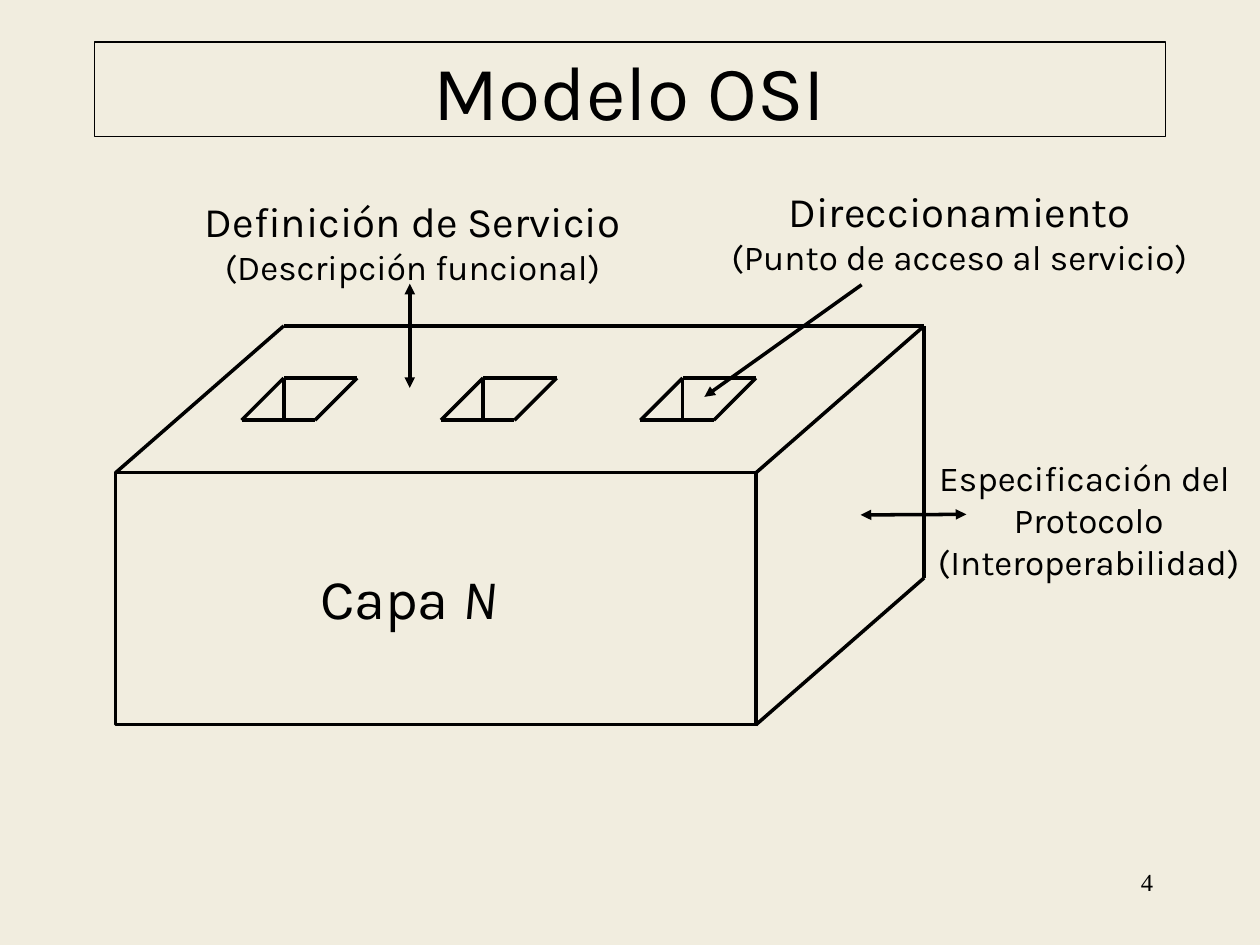
from dataclasses import dataclass

from lxml import etree
from pptx import Presentation
from pptx.dml.color import RGBColor
from pptx.enum.shapes import MSO_CONNECTOR, MSO_SHAPE
from pptx.enum.text import MSO_ANCHOR, MSO_AUTO_SIZE, PP_ALIGN
from pptx.oxml.ns import qn
from pptx.util import Cm, Pt

STRAIGHT = MSO_CONNECTOR.STRAIGHT
RECTANGLE = MSO_SHAPE.RECTANGLE
TOP, MIDDLE = MSO_ANCHOR.TOP, MSO_ANCHOR.MIDDLE
FIT_SHAPE, FIT_NONE = MSO_AUTO_SIZE.SHAPE_TO_FIT_TEXT, MSO_AUTO_SIZE.NONE
CENTER, RIGHT = PP_ALIGN.CENTER, PP_ALIGN.RIGHT


@dataclass(frozen=True)
class Theme:
    background: RGBColor = RGBColor(0xF1, 0xED, 0xDF)
    ink: RGBColor = RGBColor(0, 0, 0)
    font: str = "Karla"
    number_font: str = "Times New Roman"
    title: int = 44
    layer: int = 32
    heading: int = 24
    detail: int = 20
    number: int = 14
    frame: float = 0.75
    stroke: float = 2


THEME = Theme()


@dataclass(frozen=True)
class Span:
    text: str
    size: int
    italic: bool = False
    font: str = THEME.font


@dataclass(frozen=True)
class Label:
    """Text box; all lengths in centimetres."""
    left: float
    top: float
    width: float
    height: float
    paras: tuple[tuple[Span, ...], ...]
    align: PP_ALIGN = CENTER
    wrap: bool = False


@dataclass(frozen=True)
class Arrow:
    start: tuple[float, float]
    end: tuple[float, float]
    ends: tuple[str, ...] = ("headEnd", "tailEnd")


@dataclass(frozen=True)
class Block:
    """Front face plus the offset of its back edge."""
    left: float = 2.33
    top: float = 9.53
    width: float = 12.91
    height: float = 5.08
    depth_x: float = 3.39
    depth_y: float = 2.96


@dataclass(frozen=True)
class Sockets:
    left: float = 5.72
    top: float = 7.62
    width: float = 1.48
    skew: float = 0.85
    step: float = 4.02
    count: int = 3


LABELS = (
    Label(18.21, 17.35, 5.29, 1.27,
          ((Span("4", THEME.number, font=THEME.number_font),),), RIGHT, True),
    Label(3.81, 3.81, 9.02, 2.13,
          ((Span("Definición de Servicio", THEME.heading),),
           (Span("(Descripción funcional)", THEME.detail),))),
    Label(14.43, 3.61, 9.83, 2.13,
          ((Span("Direccionamiento", THEME.heading),),
           (Span("(Punto de acceso al servicio)", THEME.detail),))),
    Label(6.07, 11.23, 4.57, 1.63,
          ((Span("Capa ", THEME.layer), Span("N ", THEME.layer, italic=True)),)),
    Label(18.57, 9.07, 6.76, 2.79,
          tuple((Span(text, THEME.detail),) for text in
                ("Especificación del ", "Protocolo", "(Interoperabilidad)"))),
)

ARROWS = (
    Arrow((8.26, 5.72), (8.26, 7.82)),
    Arrow((17.37, 5.74), (14.2, 8), ("tailEnd",)),
    Arrow((19.48, 10.37), (17.35, 10.38)),
)


def set_values(target, values: dict) -> None:
    for name, value in values.items():
        setattr(target, name, value)


def write_paras(frame, paras: tuple, align: PP_ALIGN) -> None:
    for index, spans in enumerate(paras):
        para = frame.add_paragraph() if index else frame.paragraphs[0]
        para.alignment = align
        for span in spans:
            run = para.add_run()
            run.text = span.text
            set_values(run.font, {"name": span.font, "size": Pt(span.size),
                                  "italic": span.italic})
            run.font.color.rgb = THEME.ink


def add_label(shapes, label: Label) -> None:
    box = shapes.add_textbox(Cm(label.left), Cm(label.top),
                             Cm(label.width), Cm(label.height))
    set_values(box.text_frame, {"word_wrap": label.wrap, "vertical_anchor": TOP,
                                "auto_size": FIT_NONE if label.wrap else FIT_SHAPE})
    write_paras(box.text_frame, label.paras, label.align)


def add_frame(shapes, left: float, top: float, width: float, height: float,
              weight: float):
    box = shapes.add_shape(RECTANGLE, Cm(left), Cm(top), Cm(width), Cm(height))
    box.shadow.inherit = False
    box.fill.background()
    box.line.color.rgb = THEME.ink
    box.line.width = Pt(weight)
    return box


def add_line(shapes, start: tuple[float, float], end: tuple[float, float],
             ends: tuple[str, ...] = ()) -> None:
    line = shapes.add_connector(STRAIGHT, *map(Cm, start + end))
    line.line.color.rgb = THEME.ink
    line.line.width = Pt(THEME.stroke)
    for name in ends:
        etree.SubElement(line.line._get_or_add_ln(), qn(f"a:{name}"), type="triangle")
    etree.SubElement(line._element.spPr, qn("a:effectLst"))


def add_block(shapes, block: Block) -> None:
    add_frame(shapes, block.left, block.top, block.width, block.height, THEME.stroke)
    right, bottom = block.left + block.width, block.top + block.height
    front = ((block.left, block.top), (right, block.top), (right, bottom))
    back = tuple((x + block.depth_x, y - block.depth_y) for x, y in front)
    for start, end in (*zip(front, back), *zip(back, back[1:])):
        add_line(shapes, start, end)


def add_socket(shapes, left: float, sockets: Sockets) -> None:
    group = shapes.add_group_shape()
    bottom = sockets.top + sockets.skew
    back_left, back_right = (left, sockets.top), (left + sockets.width, sockets.top)
    front_left = (left - sockets.skew, bottom)
    front_right = (front_left[0] + sockets.width, bottom)
    outline = (back_left, front_left, front_right, back_right, back_left)
    for start, end in (*zip(outline, outline[1:]), (back_left, (left, bottom))):
        add_line(group.shapes, start, end)


def main() -> None:
    deck = Presentation()
    set_values(deck, {"slide_width": Cm(25.4), "slide_height": Cm(19.05)})
    page = deck.slides.add_slide(deck.slide_layouts[6])
    page.background.fill.solid()
    page.background.fill.fore_color.rgb = THEME.background

    # Title
    title = add_frame(page.shapes, 1.9, 0.85, 21.59, 1.9, THEME.frame)
    set_values(title.text_frame, {"word_wrap": True, "vertical_anchor": MIDDLE})
    write_paras(title.text_frame, ((Span("Modelo OSI", THEME.title),),), CENTER)

    # Layer block with its service access points
    add_block(page.shapes, Block())
    sockets = Sockets()
    for index in range(sockets.count):
        add_socket(page.shapes, sockets.left + index * sockets.step, sockets)

    # Labels and arrows
    for label in LABELS:
        add_label(page.shapes, label)
    for arrow in ARROWS:
        add_line(page.shapes, arrow.start, arrow.end, arrow.ends)

    deck.save("out.pptx")


if __name__ == "__main__":
    main()
